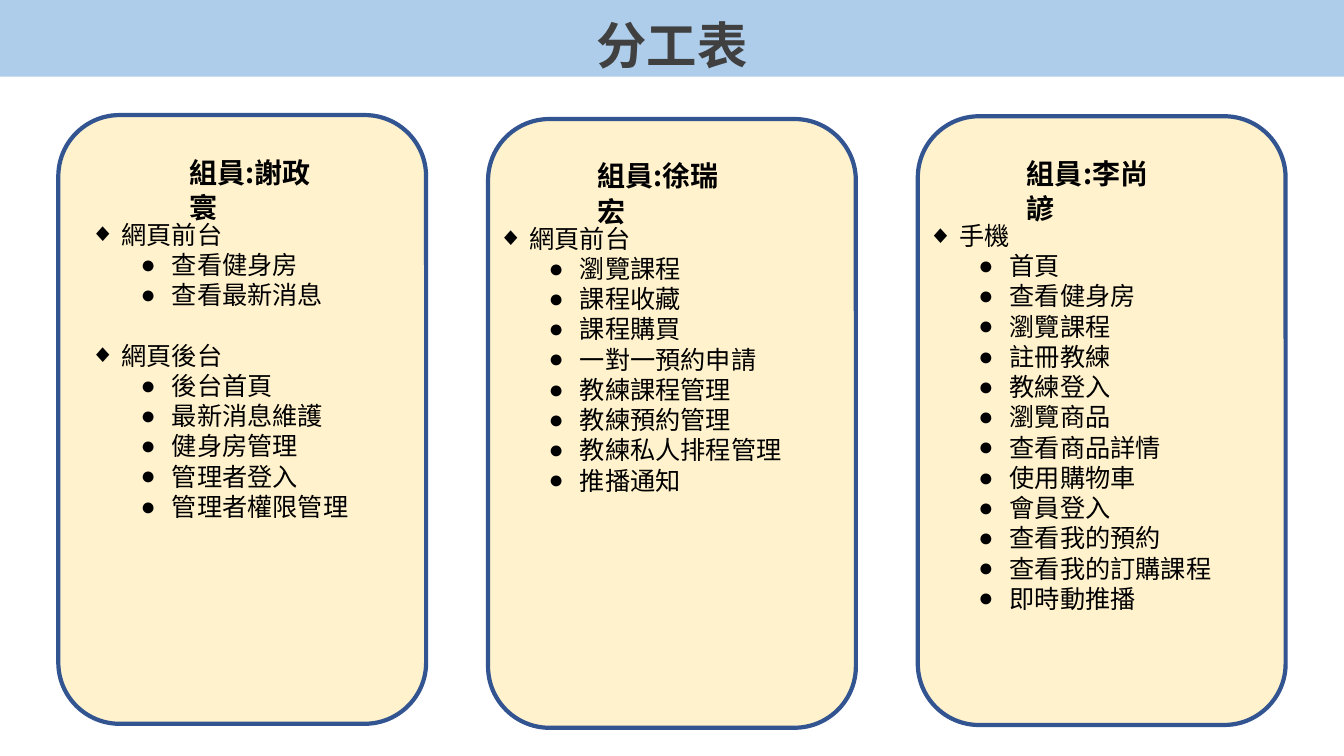
from lxml import etree
from pptx import Presentation
from pptx import util as u
from pptx.dml.color import RGBColor
from pptx.enum import shapes, text
from pptx.oxml.ns import qn

TITLE = "分工表"
# Each member: name, card top, heading indent, list indent (cm), sections
MEMBERS = [
    ("謝政寰", 2.9, 3.05, 0.55, [
        ("網頁前台", ["查看健身房", "查看最新消息"]),
        ("網頁後台", ["後台首頁", "最新消息維護", "健身房管理", "管理者登入",
                  "管理者權限管理"]),
    ]),
    ("徐瑞宏", 3.0, 2.5, 0, [
        ("網頁前台", ["瀏覽課程", "課程收藏", "課程購買", "一對一預約申請",
                  "教練課程管理", "教練預約管理", "教練私人排程管理", "推播通知"]),
    ]),
    ("李尚諺", 2.93, 2.5, 0, [
        ("手機", ["首頁", "查看健身房", "瀏覽課程", "註冊教練", "教練登入", "瀏覽商品",
                "查看商品詳情", "使用購物車", "會員登入", "查看我的預約",
                "查看我的訂購課程", "即時動推播"]),
    ]),
]
FONT = "Noto Sans CJK KR"
CARD_LEFT, CARD_STEP, CARD_WIDTH, CARD_HEIGHT = 1.47, 10.83, 9.27, 15.34
LIST_LINE = 21.6
BULLETS = [("◆", 0.79), ("●", 2.06)]  # character and text indent per level


def color(value):
    return RGBColor.from_string(value)


def place(shape, left, top, width, height):
    shape.left, shape.top = u.Cm(left), u.Cm(top)
    shape.width, shape.height = u.Cm(width), u.Cm(height)


def prepare(frame, anchor):
    frame.word_wrap = True
    frame.auto_size = text.MSO_AUTO_SIZE.NONE
    frame.vertical_anchor = anchor


def add_run(paragraph, words, size, bold=False, tone="000000"):
    run = paragraph.add_run()
    run.text = words
    run.font.name, run.font.size, run.font.bold = FONT, u.Pt(size), bold
    run.font.color.rgb = color(tone)
    east_asian = etree.SubElement(run.font._element, qn("a:ea"))
    east_asian.set("typeface", FONT)


def add_bullet(paragraph, level):
    character, indent = BULLETS[level]
    properties = paragraph._p.get_or_add_pPr()
    properties.set("marL", str(u.Cm(indent)))
    properties.set("indent", str(-u.Cm(0.79)))
    etree.SubElement(properties, qn("a:buFont")).set("typeface", "Arial")
    etree.SubElement(properties, qn("a:buChar")).set("char", character)


def fill_list(frame, sections):
    prepare(frame, text.MSO_ANCHOR.TOP)
    frame.margin_top = u.Cm(0.18)
    lines = [(level, words) for heading, items in sections
             for level, words in [(0, heading)] + [(1, item) for item in items]]
    for number, (level, words) in enumerate(lines):
        paragraph = frame.add_paragraph() if number else frame.paragraphs[0]
        add_bullet(paragraph, level)
        paragraph.level = level
        paragraph.alignment = text.PP_ALIGN.LEFT
        paragraph.line_spacing = u.Pt(LIST_LINE)
        new_section = number > 0 and level == 0
        paragraph.space_before = u.Pt(LIST_LINE if new_section else 0)
        add_run(paragraph, words, 18)


presentation = Presentation()
presentation.slide_width, presentation.slide_height = u.Cm(33.87), u.Cm(19.05)
slide = presentation.slides.add_slide(presentation.slide_layouts[4])
title, *bodies = slide.placeholders

# Title band
place(title, 0, 0, 33.87, 1.93)
title.fill.solid()
title.fill.fore_color.rgb = color("ADCDEA")
prepare(title.text_frame, text.MSO_ANCHOR.MIDDLE)
paragraph = title.text_frame.paragraphs[0]
paragraph.alignment = text.PP_ALIGN.CENTER
paragraph.line_spacing = 1.2
add_run(paragraph, TITLE, 36, True, "404040")

# Member cards
for column, (name, top, name_indent, list_indent, sections) in enumerate(MEMBERS):
    left = CARD_LEFT + column * CARD_STEP
    card = slide.shapes.add_shape(shapes.MSO_SHAPE.ROUNDED_RECTANGLE, 0, 0, 0, 0)
    place(card, left, top, CARD_WIDTH, CARD_HEIGHT)
    card.shadow.inherit = False
    card.fill.solid()
    card.fill.fore_color.rgb = color("FFF2CC")
    card.line.color.rgb = color("325491")
    card.line.width = u.Pt(3)

    heading = slide.shapes.add_textbox(0, 0, 0, 0)
    place(heading, left + name_indent, top + 0.84, 4.25, 1.12)
    prepare(heading.text_frame, text.MSO_ANCHOR.TOP)
    paragraph = heading.text_frame.paragraphs[0]
    paragraph.line_spacing = u.Pt(25.2)
    add_run(paragraph, f"組員:{name}", 20, True)

    # The list placeholder goes in front of its card
    body = bodies[column]
    card._element.getparent().append(body._element)
    height = 11.79 if column == 2 else 7.95
    place(body, left + list_indent, top + 2.44, CARD_WIDTH, height)
    fill_list(body.text_frame, sections)

# Unused placeholders
for body in bodies[len(MEMBERS):]:
    body._element.getparent().remove(body._element)

presentation.save("out.pptx")
